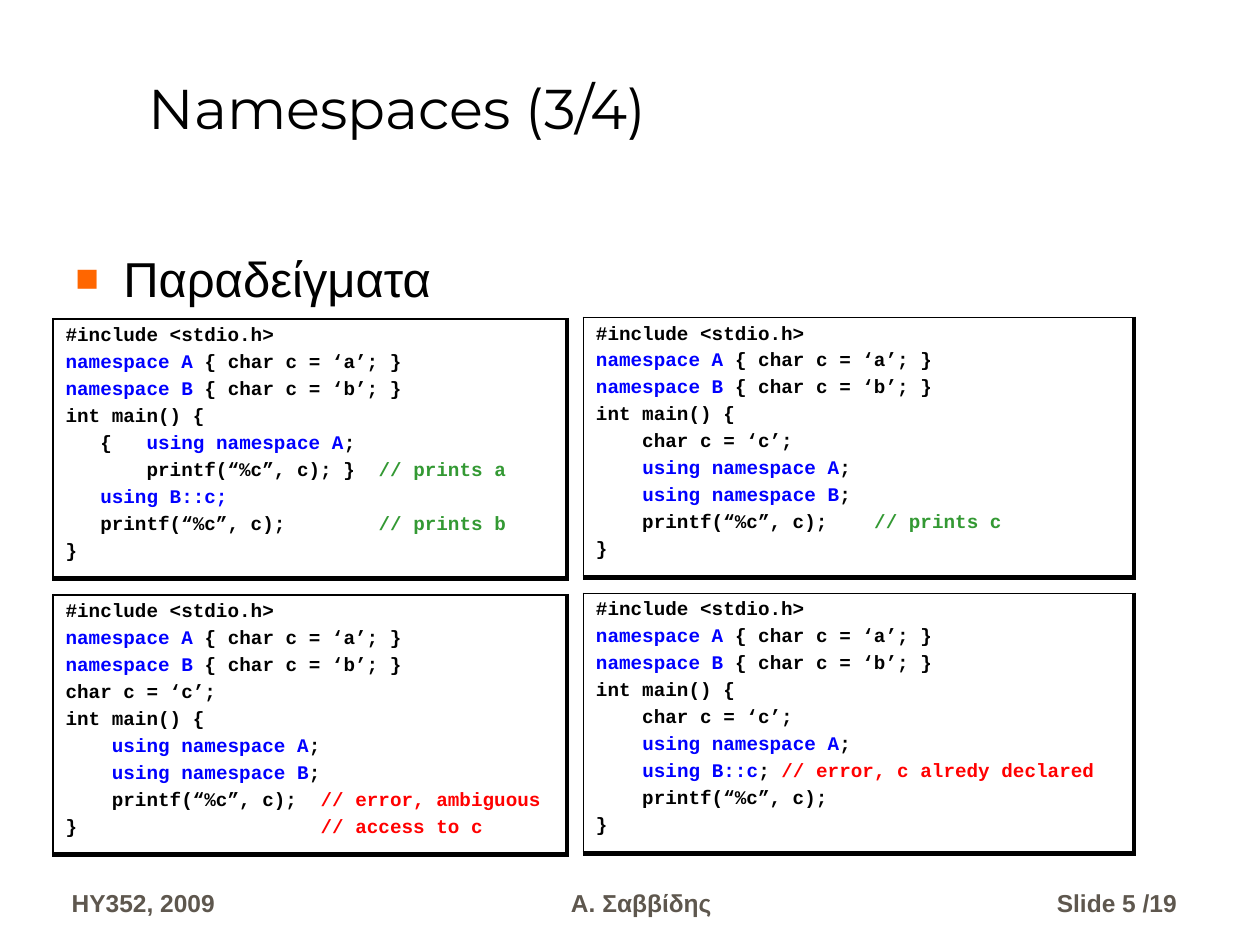
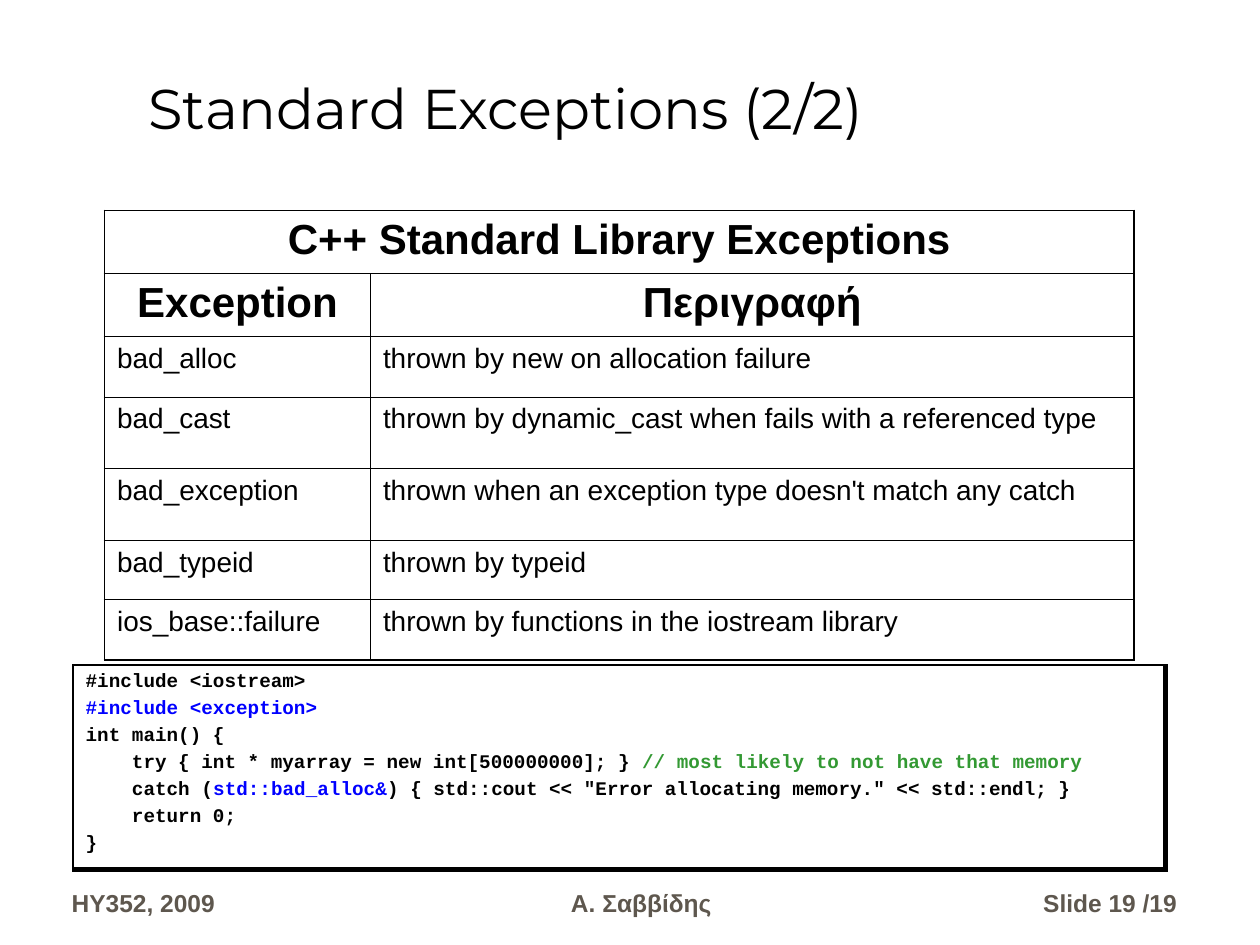
from lxml import etree
from pptx import Presentation, util as u
from pptx.dml.color import RGBColor
from pptx.enum import text
from pptx.oxml import ns

BLACK, WHITE, GREY, ORANGE = "000000", "FFFFFF", "5E574E", "FF6600"
BLUE, GREEN, RED = "0000FF", "339933", "FF0000"
LEFT, CENTER, RIGHT = text.PP_ALIGN.LEFT, text.PP_ALIGN.CENTER, text.PP_ALIGN.RIGHT

# Text formats
TITLE = dict(name="Montserrat", size=u.Pt(32))
BULLET = dict(name="Arial", size=u.Pt(28))
FOOTER = dict(name="Arial", size=u.Pt(14), bold=True)
CODE = dict(name="Courier New", size=u.Pt(11), bold=True)
HEADING = dict(name="Arial", size=u.Pt(24), bold=True)
ENTRY = dict(name="Arial", size=u.Pt(16), bold=False)

# Line widths in points
THIN, EDGE, THICK = 0.45, 1.08, 3

# Code: text between bars is blue, comments take the colour of their box
HEAD = """#include <stdio.h>
|namespace A| { char c = ‘a’; }
|namespace B| { char c = ‘b’; }
"""
SCOPES = HEAD + """int main() {
   {   |using namespace A|;
       printf(“%c”, c); }  // prints a
|   using B::c;|
   printf(“%c”, c);        // prints b
}"""
LOCAL = HEAD + """int main() {
    char c = ‘c’;
    |using namespace A|;
    |using namespace B|;
    printf(“%c”, c);    // prints c
}"""
AMBIGUOUS = HEAD + """char c = ‘c’;
int main() {
    |using namespace A|;
    |using namespace B|;
    printf(“%c”, c);  // error, ambiguous
}                     // access to c"""
REDECLARED = HEAD + """int main() {
    char c = ‘c’;
    |using namespace A|;
    |using B::c|; // error, c alredy declared
    printf(“%c”, c);
}"""
BAD_ALLOC = """#include <iostream>
|#include <exception>|
int main() {
    try { int * myarray = new int[500000000]; } // most likely to not have that memory
    catch (|std::bad_alloc&|) { std::cout << "Error allocating memory." << std::endl; }
    return 0;
}"""

EXCEPTIONS = [
    ("C++ Standard Library Exceptions", ""),
    ("Exception", "Περιγραφή"),
    ("bad_alloc", "thrown by new on allocation failure"),
    ("bad_cast", "thrown by dynamic_cast when fails with a referenced type"),
    ("bad_exception", "thrown when an exception type doesn't match any catch"),
    ("bad_typeid", "thrown by typeid"),
    ("ios_base::failure", "thrown by functions in the iostream library"),
]


def rgb(value):
    return RGBColor.from_string(value)


def inches(*values):
    return [u.Inches(v) for v in values]


def add_run(p, words, fmt, color=BLACK):
    r = p.add_run()
    r.text = words
    for key, value in fmt.items():
        setattr(r.font, key, value)
    r.font.color.rgb = rgb(color)


def add_text(s, box, words, fmt, color=BLACK, align=LEFT,
             anchor=text.MSO_ANCHOR.BOTTOM):
    tf = s.shapes.add_textbox(*inches(*box)).text_frame
    tf.word_wrap = True
    tf.vertical_anchor = anchor
    p = tf.paragraphs[0]
    p.alignment = align
    add_run(p, words, fmt, color)
    return p


def add_bullet(s, words):
    p = add_text(s, (0.5, 1.92, 9.08, 4.83), words, BULLET,
                 anchor=text.MSO_ANCHOR.TOP)
    pPr = p._p.get_or_add_pPr()
    indent = u.Inches(0.38)
    pPr.set("marL", str(indent))
    pPr.set("indent", str(-indent))
    color = etree.SubElement(pPr, ns.qn("a:buClr"))
    etree.SubElement(color, ns.qn("a:srgbClr"), val=ORANGE)
    etree.SubElement(pPr, ns.qn("a:buSzPct"), val="80000")
    etree.SubElement(pPr, ns.qn("a:buFont"), typeface="Arial")
    etree.SubElement(pPr, ns.qn("a:buChar"), char="■")


def set_borders(cell, left, right, top, bottom):
    tcPr = cell._tc.get_or_add_tcPr()
    for side, width in zip("LRTB", (left, right, top, bottom)):
        ln = etree.SubElement(tcPr, ns.qn("a:ln" + side), w=str(u.Pt(width)))
        fill = etree.SubElement(ln, ns.qn("a:solidFill"))
        etree.SubElement(fill, ns.qn("a:srgbClr"), val=BLACK)


def add_plain_table(s, x, y, widths, heights):
    box = inches(x, y, sum(widths), sum(heights))
    table = s.shapes.add_table(len(heights), len(widths), *box).table
    table.first_row = table.horz_banding = False
    for column, width in zip(table.columns, widths):
        column.width = u.Inches(width)
    for row, height in zip(table.rows, heights):
        row.height = u.Inches(height)
    return table


def add_code_box(s, x, y, width, height, code, comment_color):
    cell = add_plain_table(s, x, y, [width], [height]).cell(0, 0)
    set_borders(cell, EDGE, THICK, EDGE, THICK)
    cell.fill.solid()
    cell.fill.fore_color.rgb = rgb(WHITE)
    tf = cell.text_frame
    for i, line in enumerate(code.split("\n")):
        p = tf.add_paragraph() if i else tf.paragraphs[0]
        if i:
            p.space_before = u.Pt(2.8)
        statement, slashes, comment = line.partition("//")
        for j, part in enumerate(statement.split("|")):
            if part:
                add_run(p, part, CODE, BLUE if j % 2 else BLACK)
        if comment:
            add_run(p, slashes + comment, CODE, comment_color)


def add_exception_table(s):
    table = add_plain_table(s, 0.83, 1.67, [2.11, 6.06],
                            [0.5, 0.5, 0.48, 0.57, 0.57, 0.47, 0.48])
    last = len(EXCEPTIONS) - 1
    for i, row in enumerate(EXCEPTIONS):
        for j, words in enumerate(row):
            cell = table.cell(i, j)
            set_borders(cell, THIN if j else EDGE, EDGE if j or i == 0 else THIN,
                        THIN if i else EDGE, EDGE if i == last else THIN)
            cell.fill.background()
            if words:
                p = cell.text_frame.paragraphs[0]
                p.alignment = CENTER if i < 2 else LEFT
                add_run(p, words, HEADING if i < 2 else ENTRY)
    table.cell(0, 0).merge(table.cell(0, 1))


def add_slide(prs, title, number):
    s = prs.slides.add_slide(prs.slide_layouts[6])
    s.background.fill.solid()
    s.background.fill.fore_color.rgb = rgb(WHITE)
    footers = [(0.47, 1.63, "HY352, 2009", LEFT),
               (2.18, 5.82, "Α. Σαββίδης", CENTER),
               (8.07, 1.37, f"Slide {number} /19", RIGHT)]
    for x, width, words, align in footers:
        add_text(s, (x, 6.83, width, 0.5), words, FOOTER, GREY, align)
    add_text(s, (1.08, 0.17, 8.92, 1), title, TITLE)
    return s


def main():
    prs = Presentation()
    prs.slide_width, prs.slide_height = inches(10, 7.5)

    # Namespace examples on a two by two grid
    s = add_slide(prs, "Namespaces (3/4)", 5)
    add_bullet(s, "Παραδείγματα")
    columns = [(0.42, 4.08), (4.63, 4.37)]
    examples = [(SCOPES, GREEN), (LOCAL, GREEN), (AMBIGUOUS, RED), (REDECLARED, RED)]
    for i, (code, comment_color) in enumerate(examples):
        row, col = divmod(i, 2)
        x, width = columns[col]
        add_code_box(s, x, 2.53 + 2.19 * row - 0.01 * col, width, 2.04,
                     code, comment_color)

    # Exception list with a usage example
    s = add_slide(prs, "Standard Exceptions (2/2)", 19)
    add_code_box(s, 0.58, 5.28, 8.67, 1.6, BAD_ALLOC, GREEN)
    add_exception_table(s)

    prs.save("out.pptx")


if __name__ == "__main__":
    main()
